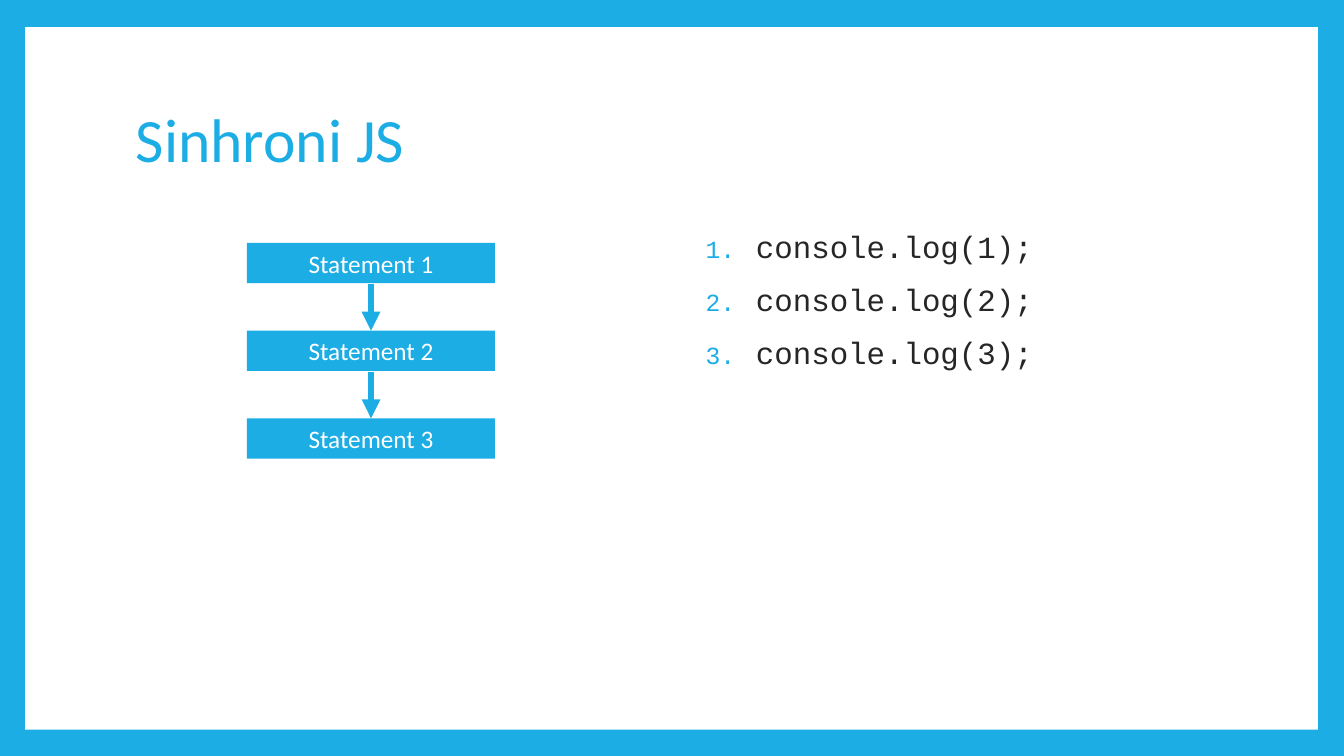
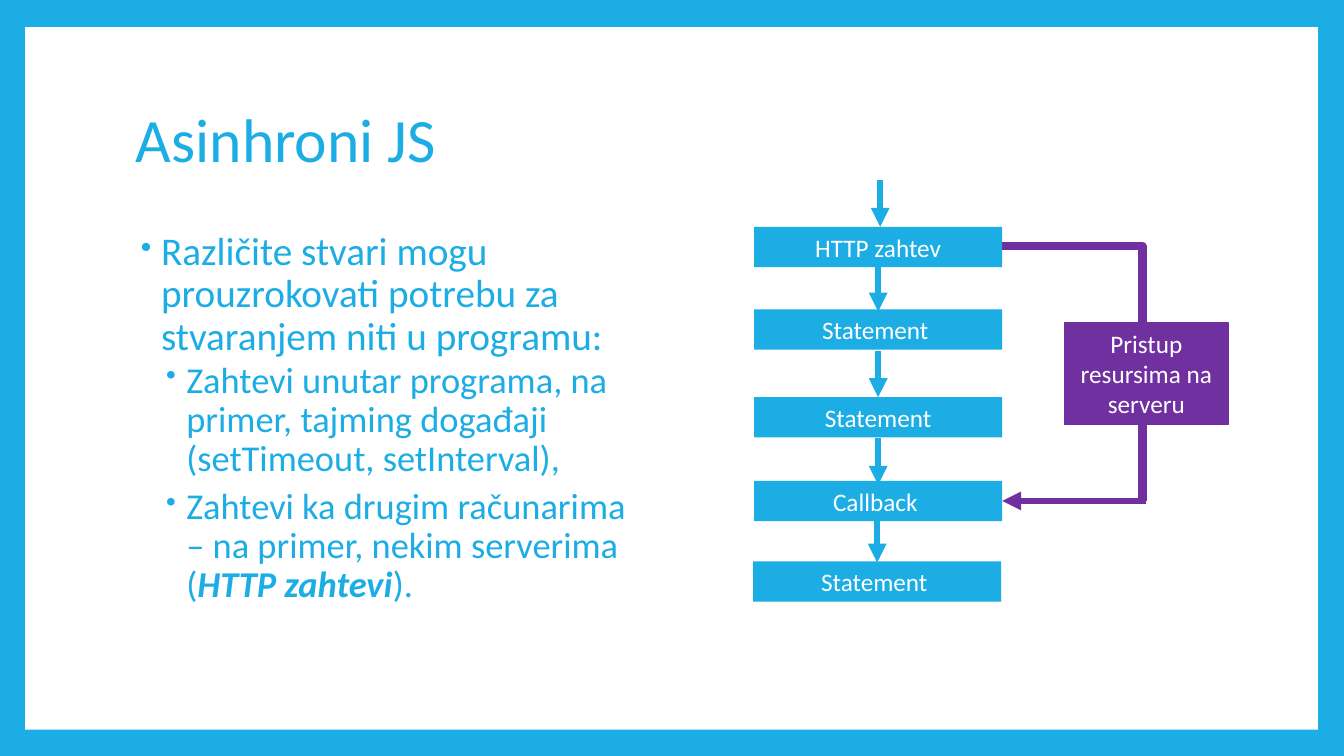
"""Build two slides comparing synchronous and asynchronous JavaScript."""
from dataclasses import dataclass
from typing import Optional

from lxml import etree
from pptx import Presentation
from pptx import util as u
from pptx.dml.color import RGBColor
from pptx.enum import shapes, text
from pptx.oxml import ns


@dataclass(frozen=True)
class Theme:
    blue: RGBColor = RGBColor.from_string("1CADE4")
    purple: RGBColor = RGBColor.from_string("7030A0")
    white: RGBColor = RGBColor.from_string("FFFFFF")
    ink: RGBColor = RGBColor.from_string("262626")
    sans: str = "Calibri"
    mono: str = "Courier New"
    title: float = 44
    lead: float = 28
    detail: float = 26
    code: float = 22
    label: float = 18
    arrow: float = 4.5
    detour: float = 6
    outline: float = 0.75
    leading: float = 0.9


@dataclass(frozen=True)
class Area:
    left: float
    top: float
    width: float
    height: float

    def inches(self) -> tuple:
        return tuple(map(u.Inches, (self.left, self.top, self.width, self.height)))


@dataclass(frozen=True)
class Style:
    size: float
    color: RGBColor
    font: str = Theme.sans


@dataclass(frozen=True)
class Words:
    content: str
    strong: bool = False


@dataclass(frozen=True)
class ListLevel:
    style: Style
    indent: float
    hanging: float
    before: float
    after: float = 0
    numbered: bool = False


@dataclass(frozen=True)
class Item:
    level: ListLevel
    words: tuple


@dataclass(frozen=True)
class Step:
    label: str
    left: float
    top: float
    arrow_x: Optional[float] = None
    arrow_tip: Optional[float] = None


THEME = Theme()
PANEL = Area(0.25, 0.27, 12.82, 6.97)
TITLE = Area(1.25, 0.67, 10.8, 1.48)
LEFT_BODY = Area(1.25, 2.25, 5.2, 4.4)
RIGHT_BODY = Area(6.85, 2.25, 5.2, 4.4)
STEP_WIDTH, STEP_HEIGHT, ARROW_LENGTH = 2.46, 0.4, 0.46

HEADING = Style(THEME.title, THEME.blue)
LABEL = Style(THEME.label, THEME.white)
CODE = ListLevel(Style(THEME.code, THEME.ink, THEME.mono), 0.55, 0.5, 14, numbered=True)
LEAD = ListLevel(Style(THEME.lead, THEME.blue), 0.25, 0.2, 14)
DETAIL = ListLevel(Style(THEME.detail, THEME.blue), 0.5, 0.2, 2, 4)

CONSOLE_LINES = [Item(CODE, (Words(f"console.log({n});"),)) for n in range(1, 4)]
REASONS = [
    Item(LEAD, (Words("Različite stvari mogu prouzrokovati potrebu za "
                      "stvaranjem niti u programu:"),)),
    Item(DETAIL, (Words("Zahtevi unutar programa, na primer, tajming događaji "
                        "(setTimeout, setInterval),"),)),
    Item(DETAIL, (Words("Zahtevi ka drugim računarima – na primer, nekim serverima ("),
                  Words("HTTP zahtevi", True), Words(")."))),
]
SYNC_TOPS = [2.41 + 0.87 * n for n in range(3)]
SYNC_STEPS = [
    Step(f"Statement {n}", 2.45, top, *((3.68, top) if n > 1 else ()))
    for n, top in enumerate(SYNC_TOPS, 1)
]
ASYNC_STEPS = [
    Step("HTTP zahtev", 7.48, 2.25, 8.73, 2.25),
    Step("Statement ", 7.48, 3.07, 8.71, 3.09),
    Step("Statement", 7.48, 3.94, 8.71, 3.94),
    Step("Callback ", 7.48, 4.77, 8.71, 4.81),
    Step("Statement ", 7.47, 5.57, 8.7, 5.58),
]


def add_words(paragraph, words: Words, style: Style) -> None:
    """Append one styled run."""
    run = paragraph.add_run()
    run.text = words.content
    font = run.font
    font.name, font.size = style.font, u.Pt(style.size)
    font.color.rgb = style.color
    font.bold = font.italic = words.strong


def add_marker(paragraph, level: ListLevel) -> None:
    """Give a paragraph its hanging indent and bullet or number."""
    properties = paragraph._p.get_or_add_pPr()
    properties.set("marL", str(u.Inches(level.indent)))
    properties.set("indent", str(u.Inches(-level.hanging)))
    color = etree.SubElement(properties, ns.qn("a:buClr"))
    etree.SubElement(color, ns.qn("a:srgbClr"), val=str(THEME.blue))
    etree.SubElement(properties, ns.qn("a:buSzPct"), val="80000")
    if level.numbered:
        etree.SubElement(properties, ns.qn("a:buAutoNum"), type="arabicPeriod")
    else:
        etree.SubElement(properties, ns.qn("a:buChar"), char="•")


def add_title(slide, wording: str) -> None:
    """Write the slide heading."""
    frame = slide.shapes.add_textbox(*TITLE.inches()).text_frame
    frame.word_wrap = True
    frame.vertical_anchor = text.MSO_ANCHOR.MIDDLE
    heading = frame.paragraphs[0]
    heading.line_spacing = THEME.leading
    add_words(heading, Words(wording), HEADING)


def add_list(slide, area: Area, items: list) -> None:
    """Write a bulleted or numbered list."""
    frame = slide.shapes.add_textbox(*area.inches()).text_frame
    frame.word_wrap = True
    for index, item in enumerate(items):
        paragraph = frame.add_paragraph() if index else frame.paragraphs[0]
        level = item.level
        paragraph.line_spacing = THEME.leading
        paragraph.space_before = u.Pt(level.before)
        paragraph.space_after = u.Pt(level.after)
        add_marker(paragraph, level)
        for words in item.words:
            add_words(paragraph, words, level.style)


def add_block(slide, area: Area, fill: RGBColor, label: str = "", outlined: bool = False) -> None:
    """Draw a filled rectangle with an optional centred label."""
    block = slide.shapes.add_shape(shapes.MSO_SHAPE.RECTANGLE, *area.inches())
    block.shadow.inherit = False
    block.fill.solid()
    block.fill.fore_color.rgb = fill
    if outlined:
        block.line.color.rgb = fill
        block.line.width = u.Pt(THEME.outline)
    else:
        block.line.fill.background()
    if label:
        frame = block.text_frame
        frame.word_wrap = True
        frame.vertical_anchor = text.MSO_ANCHOR.MIDDLE
        frame.paragraphs[0].alignment = text.PP_ALIGN.CENTER
        add_words(frame.paragraphs[0], Words(label), LABEL)


def add_arrow(slide, start: tuple, tip: tuple, color: RGBColor) -> None:
    """Draw a straight arrow."""
    arrow = slide.shapes.add_connector(
        shapes.MSO_CONNECTOR.STRAIGHT, *map(u.Inches, start + tip))
    arrow.line.color.rgb = color
    arrow.line.width = u.Pt(THEME.arrow)
    etree.SubElement(arrow.line._get_or_add_ln(), ns.qn("a:tailEnd"), type="triangle")
    etree.SubElement(arrow._element.spPr, ns.qn("a:effectLst"))


def add_detour(slide, points: list) -> None:
    """Draw an open angled line with round corners."""
    corners = [tuple(map(u.Inches, point)) for point in points]
    builder = slide.shapes.build_freeform(*corners[0])
    builder.add_line_segments(corners[1:], close=False)
    detour = builder.convert_to_shape()
    detour.shadow.inherit = False
    detour.fill.background()
    detour.line.color.rgb = THEME.purple
    detour.line.width = u.Pt(THEME.detour)
    etree.SubElement(detour.line._get_or_add_ln(), ns.qn("a:round"))


def add_steps(slide, steps: list) -> None:
    """Draw a column of steps with the arrows leading into them."""
    for step in steps:
        add_block(slide, Area(step.left, step.top, STEP_WIDTH, STEP_HEIGHT),
                  THEME.blue, step.label)
    for step in steps:
        if step.arrow_x is not None:
            add_arrow(slide, (step.arrow_x, step.arrow_tip - ARROW_LENGTH),
                      (step.arrow_x, step.arrow_tip), THEME.blue)


def add_framed_slide(deck, title: str):
    """Add a blank slide with the blue frame and a heading."""
    slide = deck.slides.add_slide(deck.slide_layouts[6])
    slide.background.fill.solid()
    slide.background.fill.fore_color.rgb = THEME.blue
    add_block(slide, PANEL, THEME.white)
    add_title(slide, title)
    return slide


def main() -> None:
    """Build and save the deck."""
    deck = Presentation()
    deck.slide_width, deck.slide_height = u.Inches(13.33), u.Inches(7.5)

    sync = add_framed_slide(deck, "Sinhroni JS")
    add_list(sync, RIGHT_BODY, CONSOLE_LINES)
    add_steps(sync, SYNC_STEPS)

    asynchronous = add_framed_slide(deck, "Asinhroni JS")
    add_list(asynchronous, LEFT_BODY, REASONS)
    add_detour(asynchronous, [(9.93, 2.44), (11.33, 2.44), (11.33, 4.97)])
    add_arrow(asynchronous, (11.37, 4.97), (9.94, 4.97), THEME.purple)
    add_block(asynchronous, Area(10.56, 3.2, 1.62, 1.01), THEME.purple,
              "Pristup resursima na serveru", outlined=True)
    add_steps(asynchronous, ASYNC_STEPS)

    deck.save("out.pptx")


main()
